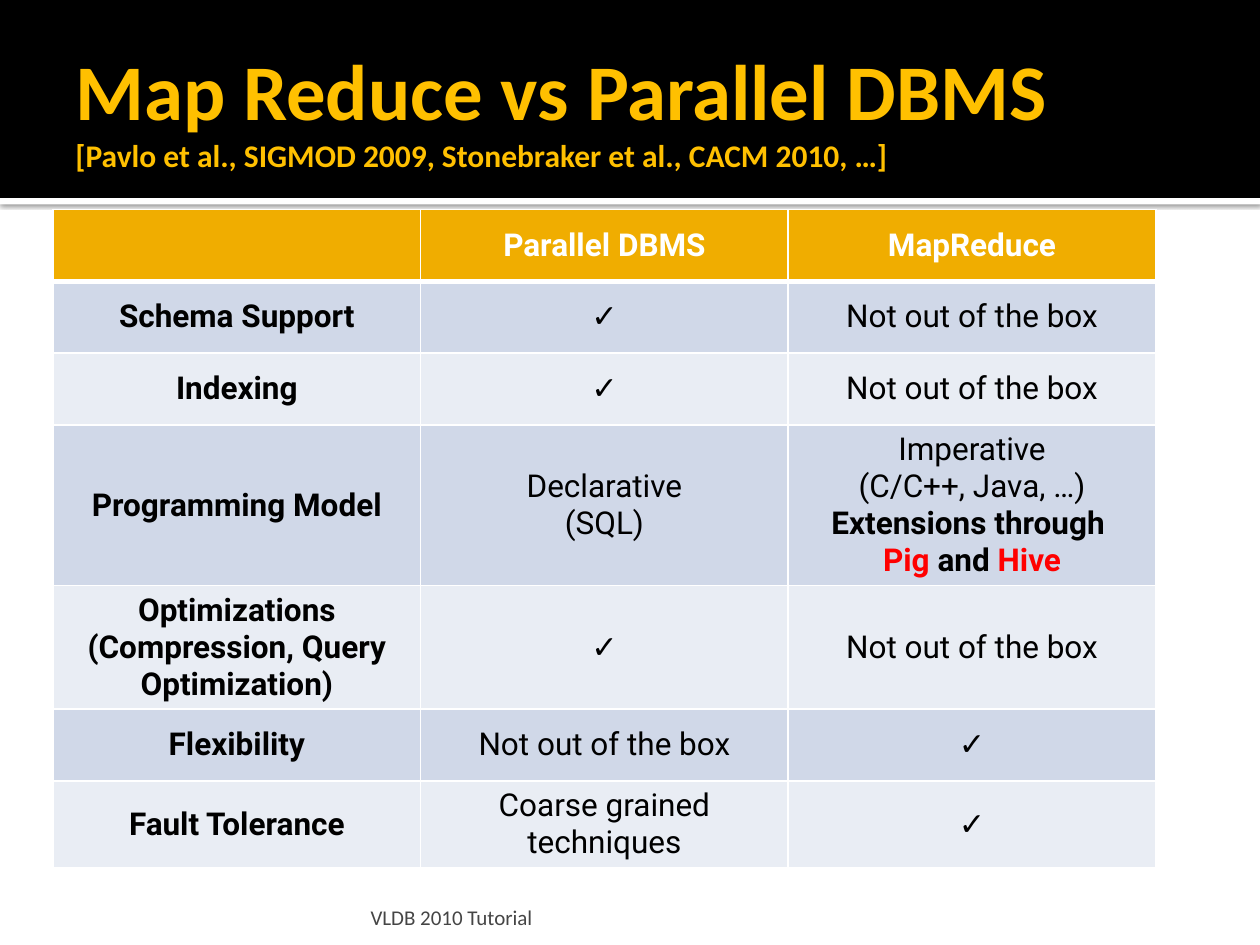
from dataclasses import dataclass

from lxml.etree import SubElement
from pptx import Presentation
from pptx.dml.color import RGBColor
from pptx.enum.shapes import MSO_SHAPE
from pptx.enum.text import MSO_ANCHOR, MSO_AUTO_SIZE, PP_ALIGN
from pptx.oxml.ns import qn
from pptx.slide import Slide
from pptx.util import Cm, Pt

BLACK = RGBColor(0x00, 0x00, 0x00)
WHITE = RGBColor(0xFF, 0xFF, 0xFF)
GOLD = RGBColor(0xFF, 0xC0, 0x00)
AMBER = RGBColor(0xF0, 0xAD, 0x00)
BAND_DARK = RGBColor(0xD0, 0xD8, 0xE8)
BAND_LIGHT = RGBColor(0xE9, 0xED, 0xF4)
RED = RGBColor(0xFF, 0x00, 0x00)
GRAY = RGBColor(0x45, 0x45, 0x45)

CHECK = "✓"
MISSING = "Not out of the box"
EXTENSIONS = [("Pig", RED), (" and ", BLACK), ("Hive", RED)]
ROWS = [
    (1.45, "", ["Parallel DBMS"], ["MapReduce"]),
    (1.45, "Schema Support", [CHECK], [MISSING]),
    (1.45, "Indexing", [CHECK], [MISSING]),
    (3.21, "Programming Model", ["Declarative", "(SQL)"], ["Imperative", "(C/C++, Java, …)"]),
    (2.47, "Optimizations (Compression, Query Optimization)", [CHECK], [MISSING]),
    (1.45, "Flexibility", [MISSING], [CHECK]),
    (1.73, "Fault Tolerance", ["Coarse grained techniques"], [CHECK]),
]


def add_text(paragraph, text, font="Roboto", size=18, color=BLACK, bold=False, align=PP_ALIGN.LEFT):
    paragraph.alignment = align
    run = paragraph.add_run()
    run.text = text
    run.font.name = font
    run.font.size = Pt(size)
    run.font.bold = bold
    run.font.color.rgb = color


def set_frame(text_frame, anchor, left, top, right, bottom):
    text_frame.word_wrap = True
    text_frame.auto_size = MSO_AUTO_SIZE.NONE
    text_frame.vertical_anchor = anchor
    text_frame.margin_left, text_frame.margin_top = Cm(left), Cm(top)
    text_frame.margin_right, text_frame.margin_bottom = Cm(right), Cm(bottom)


@dataclass
class SlideBuilder:
    slide: Slide
    heading_font: str = "Calibri"
    table_font: str = "Roboto"

    def bar(self, top, height, color, shadow=False):
        shape = self.slide.shapes.add_shape(MSO_SHAPE.RECTANGLE, 0, Cm(top), Cm(25.4), Cm(height))
        shape.shadow.inherit = False
        shape.fill.solid()
        shape.fill.fore_color.rgb = color
        shape.line.fill.background()
        if shadow:
            effects = shape.element.spPr.find(qn("a:effectLst"))
            outer = SubElement(effects, qn("a:outerShdw"), blurRad=str(Pt(2.5)),
                               dist=str(Pt(0.8)), dir="5400000", rotWithShape="0")
            shadow_color = SubElement(outer, qn("a:srgbClr"), val="000000")
            SubElement(shadow_color, qn("a:alpha"), val="60000")

    def title(self, heading, citation):
        shape = self.slide.shapes.title
        shape.left, shape.top, shape.width, shape.height = Cm(1.27), Cm(0.43), Cm(22.86), Cm(3.48)
        shape.element.getparent().append(shape.element)
        set_frame(shape.text_frame, MSO_ANCHOR.MIDDLE, 0.25, 0.13, 0.13, 0.13)
        paragraph = shape.text_frame.paragraphs[0]
        add_text(paragraph, heading, font=self.heading_font, size=45, color=GOLD, bold=True)
        paragraph.add_line_break()
        add_text(paragraph, citation, font=self.heading_font, color=GOLD, bold=True)

    def footer(self, text):
        shape = self.slide.shapes.add_textbox(Cm(7.34), Cm(17.98), Cm(15.29), Cm(0.76))
        set_frame(shape.text_frame, MSO_ANCHOR.BOTTOM, 0.13, 0.13, 0.13, 0)
        add_text(shape.text_frame.paragraphs[0], text, font=self.heading_font, size=12, color=GRAY)

    def cell_borders(self, cell, row_index):
        properties = cell._tc.get_or_add_tcPr()
        widths = {"L": 1, "R": 1, "T": 3 if row_index == 1 else 1, "B": 3 if row_index == 0 else 1}
        for position, (side, width) in enumerate(widths.items()):
            line = properties.makeelement(qn(f"a:ln{side}"), {"w": str(Pt(width))})
            properties.insert(position, line)
            fill = SubElement(line, qn("a:solidFill"))
            SubElement(fill, qn("a:srgbClr"), val=str(WHITE))

    def cell(self, cell, lines, row_index, bold):
        header = row_index == 0
        cell.fill.solid()
        cell.fill.fore_color.rgb = AMBER if header else BAND_DARK if row_index % 2 else BAND_LIGHT
        self.cell_borders(cell, row_index)
        cell.vertical_anchor = MSO_ANCHOR.MIDDLE
        for index, line in enumerate(lines):
            if index:
                cell.text_frame.add_paragraph()
            if line:
                add_text(cell.text_frame.paragraphs[-1], line, font=self.table_font, bold=bold,
                         color=WHITE if header else BLACK, align=PP_ALIGN.CENTER)

    def table(self, rows):
        height = sum(row[0] for row in rows)
        frame = self.slide.shapes.add_table(len(rows), 3, Cm(1.07), Cm(4.22), Cm(22.23), Cm(height))
        table = frame.table
        for column in table.columns:
            column.width = Cm(7.41)
        for row_index, (row_height, label, *values) in enumerate(rows):
            table.rows[row_index].height = Cm(row_height)
            for column_index, lines in enumerate([[label], *values]):
                self.cell(table.cell(row_index, column_index), lines, row_index,
                          bold=row_index == 0 or column_index == 0)
        return table

    def extensions(self, cell, introduction, parts):
        style = {"font": self.table_font, "bold": True, "align": PP_ALIGN.CENTER}
        add_text(cell.text_frame.add_paragraph(), introduction, **style)
        paragraph = cell.text_frame.add_paragraph()
        for text, color in parts:
            add_text(paragraph, text, color=color, **style)


def main():
    presentation = Presentation()
    presentation.slide_width, presentation.slide_height = Cm(25.4), Cm(19.05)
    slide = presentation.slides.add_slide(presentation.slide_layouts[5])
    builder = SlideBuilder(slide)
    builder.bar(3.99, 0.13, WHITE, shadow=True)
    builder.bar(0, 3.99, BLACK)
    builder.title("Map Reduce vs Parallel DBMS",
                  "[Pavlo et al., SIGMOD 2009, Stonebraker et al., CACM 2010, …]")
    table = builder.table(ROWS)
    builder.extensions(table.cell(3, 2), "Extensions through ", EXTENSIONS)
    builder.footer("VLDB 2010 Tutorial")
    presentation.save("out.pptx")


if __name__ == "__main__":
    main()
